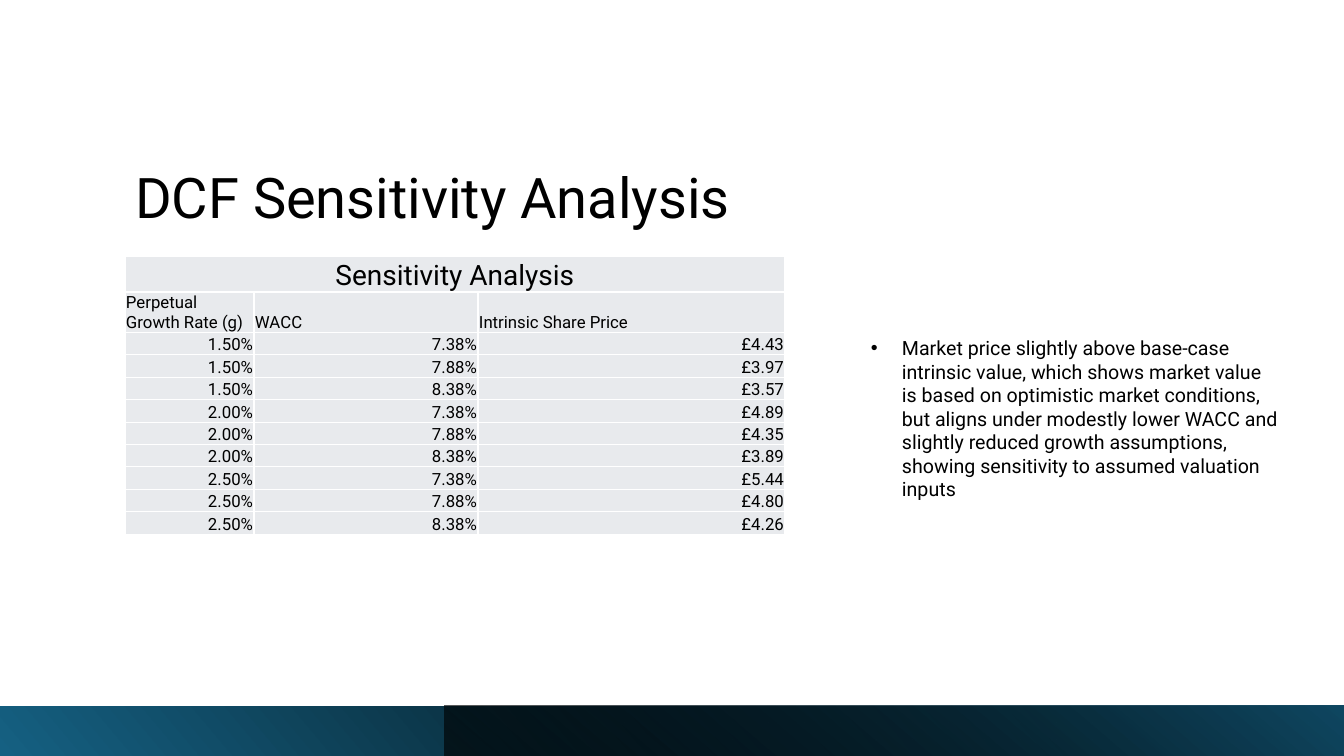
"""Build the DCF sensitivity analysis slide."""
from itertools import product

from lxml.etree import SubElement
from pptx import Presentation
from pptx.dml.color import RGBColor
from pptx.enum.shapes import MSO_SHAPE
from pptx.enum.text import MSO_ANCHOR, MSO_AUTO_SIZE, PP_ALIGN
from pptx.oxml import parse_xml
from pptx.oxml.ns import nsdecls, qn
from pptx.util import Emu, Pt


def px(*lengths):
    """Turn pixel lengths into EMU."""
    return [Emu(round(length * 914400 / 100.8)) for length in lengths]


def format_text(paragraph, size, alignment=PP_ALIGN.LEFT):
    """Set the alignment and font of every run in a paragraph."""
    paragraph.alignment = alignment
    for run in paragraph.runs:
        run.font.name = "Roboto"
        run.font.size = Pt(size)
        run.font.color.rgb = RGBColor.from_string("000000")


presentation = Presentation()
presentation.slide_width, presentation.slide_height = px(1344, 756)
slide = presentation.slides.add_slide(presentation.slide_layouts[5])

title = slide.shapes.title
title.left, title.top, title.width, title.height = px(125, 55, 1068, 181)
title.text_frame.text = "DCF Sensitivity Analysis"
title.text_frame.vertical_anchor = MSO_ANCHOR.BOTTOM
title.text_frame.auto_size = MSO_AUTO_SIZE.NONE
title.text_frame.paragraphs[0].line_spacing = 0.9
format_text(title.text_frame.paragraphs[0], 40)

growth_rates = ["1.50%", "2.00%", "2.50%"]
discount_rates = ["7.38%", "7.88%", "8.38%"]
share_prices = ["£4.43", "£3.97", "£3.57", "£4.89", "£4.35", "£3.89", "£5.44", "£4.80", "£4.26"]
rows = [
    ["Sensitivity Analysis", "", ""],
    ["Perpetual Growth Rate (g)", "WACC", "Intrinsic Share Price"],
]
for rates, price in zip(product(growth_rates, discount_rates), share_prices):
    rows.append([*rates, price])

column_widths = [129, 224, 307]
body_edges = [round(index * 22.4) for index in range(len(share_prices) + 1)]
row_heights = [36, 40] + [end - start for start, end in zip(body_edges, body_edges[1:])]
table = slide.shapes.add_table(
    len(rows), len(column_widths), *px(125, 256, sum(column_widths), sum(row_heights))
).table
for column, width in zip(table.columns, px(*column_widths)):
    column.width = width
for row, height in zip(table.rows, px(*row_heights)):
    row.height = height
table.cell(0, 0).merge(table.cell(0, 2))

row_styles = [(20, PP_ALIGN.CENTER), (12, PP_ALIGN.LEFT)] + [(12, PP_ALIGN.RIGHT)] * len(share_prices)
for row, values, (size, alignment) in zip(table.rows, rows, row_styles):
    for cell, value in zip(row.cells, values):
        cell.text_frame.text = value
        format_text(cell.text_frame.paragraphs[0], size, alignment)
        cell.vertical_anchor = MSO_ANCHOR.BOTTOM
        cell.margin_left, cell.margin_top, cell.margin_right, cell.margin_bottom = px(1, 1, 1, 0)
        properties = cell._tc.get_or_add_tcPr()
        for side in ("lnL", "lnR", "lnT", "lnB"):
            properties.append(parse_xml(
                f'<a:{side} {nsdecls("a")} w="12700"><a:solidFill>'
                f'<a:srgbClr val="FFFFFF"/></a:solidFill></a:{side}>'
            ))
        cell.fill.solid()
        cell.fill.fore_color.rgb = RGBColor.from_string("E8EAED")

bands = [
    (0, 1344, 180, 40, [(0, "156082", 100), (0.78, "000000", 100)]),
    (445, 899, 0, 230, [(0, "000000", 63), (1, "104862", 100)]),
]
for left, width, rotation, angle, stops in bands:
    band = slide.shapes.add_shape(MSO_SHAPE.RECTANGLE, *px(left, 706, width, 50))
    band.shadow.inherit = False
    band.line.fill.background()
    band.rotation = rotation
    band.element.spPr.xfrm.set("flipH", "1")
    band.fill.gradient()
    band.fill.gradient_angle = 360 - angle
    for gradient_stop, (position, color, opacity) in zip(band.fill.gradient_stops, stops):
        gradient_stop.position = position
        gradient_stop.color.rgb = RGBColor.from_string(color)
    for color_element, (position, color, opacity) in zip(band.element.spPr.iter(qn("a:srgbClr")), stops):
        SubElement(color_element, qn("a:alpha"), val=str(opacity * 1000))

comment_box = slide.shapes.add_textbox(*px(861, 331, 430, 176))
comment_box.text_frame.word_wrap = True
comment = comment_box.text_frame.paragraphs[0]
comment.text = (
    "Market price slightly above base-case\n"
    "intrinsic value, which shows market value is based on optimistic market conditions, "
    "but aligns under modestly lower WACC and slightly reduced growth assumptions, "
    "showing sensitivity to assumed valuation inputs"
)
format_text(comment, 14)
indent = px(31)[0]
comment_properties = comment._p.get_or_add_pPr()
comment_properties.set("marL", str(indent))
comment_properties.set("indent", str(-indent))
SubElement(comment_properties, qn("a:buFont"), typeface="Arial")
SubElement(comment_properties, qn("a:buChar"), char="•")

presentation.save("out.pptx")
